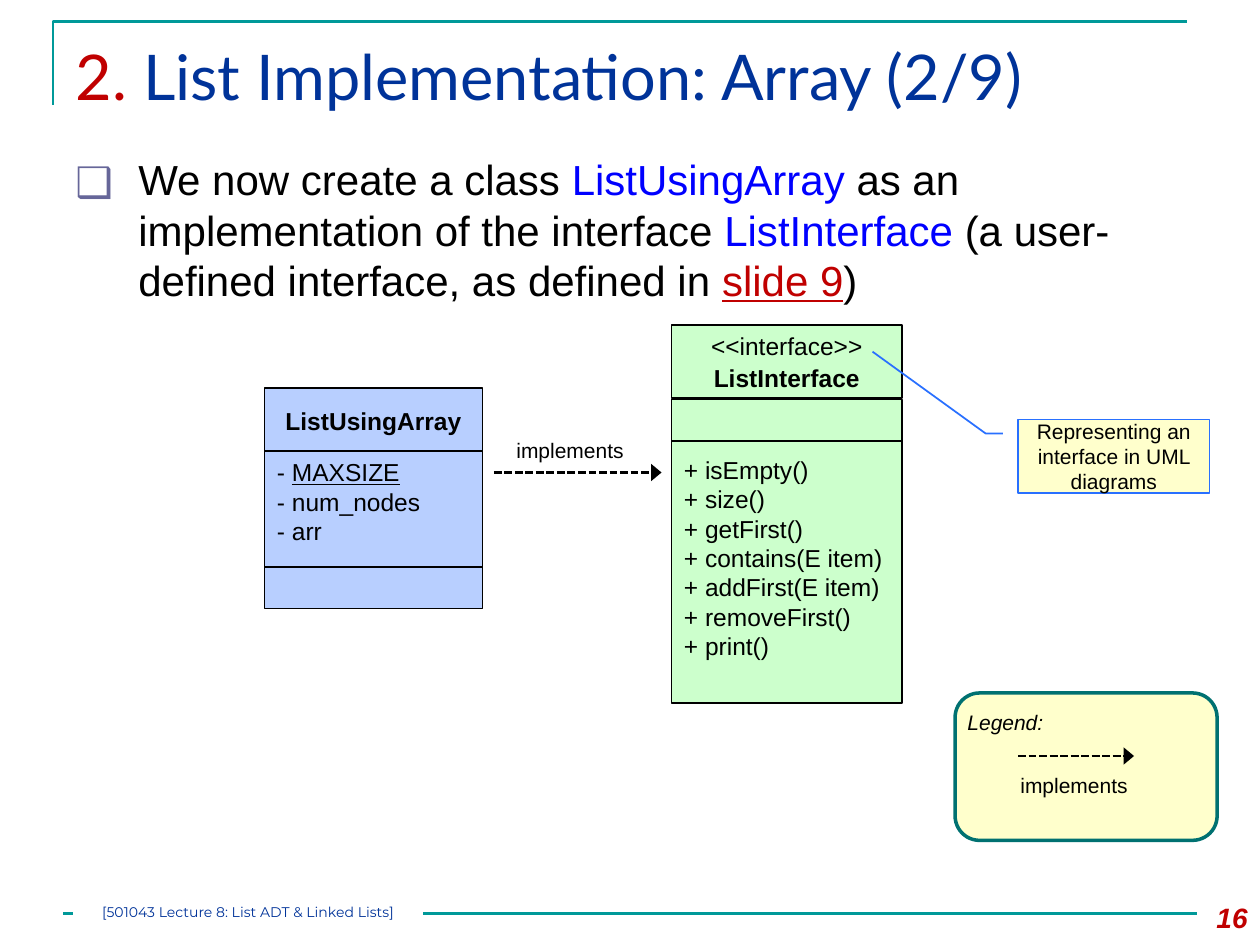
from lxml import etree
from pptx import Presentation
from pptx.dml.color import RGBColor
from pptx.enum.dml import MSO_LINE
from pptx.enum.shapes import MSO_CONNECTOR, MSO_SHAPE
from pptx.enum.text import MSO_ANCHOR, MSO_AUTO_SIZE, PP_ALIGN
from pptx.oxml.ns import qn
from pptx.util import Inches, Pt

LEFT, CENTER, RIGHT = PP_ALIGN.LEFT, PP_ALIGN.CENTER, PP_ALIGN.RIGHT
TOP, MIDDLE = MSO_ANCHOR.TOP, MSO_ANCHOR.MIDDLE
RECT, ROUND_RECT = MSO_SHAPE.RECTANGLE, MSO_SHAPE.ROUNDED_RECTANGLE
CALLOUT = MSO_SHAPE.LINE_CALLOUT_2
STRAIGHT, DASH = MSO_CONNECTOR.STRAIGHT, MSO_LINE.SQUARE_DOT

BLACK = RGBColor(0x00, 0x00, 0x00)
TEAL = RGBColor(0x00, 0x99, 0x99)
DARK_TEAL = RGBColor(0x00, 0x71, 0x71)
RED = RGBColor(0xC0, 0x00, 0x00)
NAVY = RGBColor(0x00, 0x33, 0x99)
BLUE = RGBColor(0x00, 0x00, 0xFF)
CALLOUT_BLUE = RGBColor(0x29, 0x70, 0xFF)
CLASS_BLUE = RGBColor(0xB8, 0xCF, 0xFF)
GREEN = RGBColor(0xCC, 0xFF, 0xCC)
YELLOW = RGBColor(0xFF, 0xFF, 0xCC)
BULLET = RGBColor(0x66, 0x66, 0x99)


def write_text(sp, paragraphs, size, font="Arial", color=BLACK, bold=False,
               italic=False, align=LEFT, anchor=TOP):
    """Fill sp; each paragraph is a string or a list of (text, color, underline)."""
    tf = sp.text_frame
    tf.word_wrap = True
    tf.auto_size = MSO_AUTO_SIZE.NONE
    tf.vertical_anchor = anchor
    for i, runs in enumerate(paragraphs):
        p = tf.add_paragraph() if i else tf.paragraphs[0]
        p.alignment = align
        if isinstance(runs, str):
            runs = [(runs, color, False)]
        for text, run_color, underline in runs:
            r = p.add_run()
            r.text = text
            r.font.name, r.font.size = font, Pt(size)
            r.font.bold, r.font.italic = bold, italic
            r.font.underline = underline
            r.font.color.rgb = run_color
    return tf


def add_line(x1, x2, y, color, arrow=False):
    """Add a horizontal line, dashed and with a head at x2 if it is an arrow."""
    line = s.shapes.add_connector(STRAIGHT, Inches(x1), Inches(y), Inches(x2), Inches(y))
    line.line.color.rgb = color
    line.line.width = Pt(1.5)
    if arrow:
        line.line.dash_style = DASH
        etree.SubElement(line.line._get_or_add_ln(), qn("a:tailEnd"),
                         type="triangle", w="lg", len="med")
    etree.SubElement(line._element.spPr, qn("a:effectLst"))


prs = Presentation()
prs.slide_width, prs.slide_height = Inches(10), Inches(7.5)
s = prs.slides.add_slide(prs.slide_layouts[5])

# Frame and footer rule, open around the footer text
builder = s.shapes.build_freeform(Inches(0.42), Inches(0.83))
builder.add_line_segments([(Inches(0.42), Inches(0.17)), (Inches(9.42), Inches(0.17))],
                          close=False)
frame = builder.convert_to_shape()
frame.fill.background()
frame.line.color.rgb = TEAL
frame.line.width = Pt(1.5)
frame.shadow.inherit = False
add_line(0.5, 0.58, 7.25, TEAL)
add_line(3.36, 9.5, 7.25, TEAL)

# Title and body
title = s.shapes.title
title.left, title.top = Inches(0.5), Inches(0.25)
title.width, title.height = Inches(9), Inches(0.86)
write_text(title, [[("2. ", RED, False),
                    ("List Implementation: Array (2/9)", NAVY, False)]], 36, font="Lato")

body = s.shapes.add_textbox(Inches(0.5), Inches(1.17), Inches(9), Inches(1.58))
tf = write_text(body, [[
    ("We now create a class ", BLACK, False),
    ("ListUsingArray ", BLUE, False),
    ("as an implementation of the interface ", BLACK, False),
    ("ListInterface ", BLUE, False),
    ("(a user-defined interface, as defined in ", BLACK, False),
    ("slide 9", RED, True),
    (")", BLACK, False),
]], 24)
p = tf.paragraphs[0]
p.space_before = Pt(6)
pPr = p._p.get_or_add_pPr()
pPr.set("marL", str(Inches(0.5)))
pPr.set("indent", str(-Inches(0.5)))
bullet_color = etree.SubElement(pPr, qn("a:buClr"))
etree.SubElement(bullet_color, qn("a:srgbClr"), val=str(BULLET))
etree.SubElement(pPr, qn("a:buFont"), typeface="Noto Sans Symbols")
etree.SubElement(pPr, qn("a:buChar"), char="❑")

# UML compartments, legend and callout
for kind, x, y, w, h, fill, line, width in [
    (RECT, 5.33, 2.58, 1.83, 0.58, GREEN, BLACK, 1),
    (RECT, 5.33, 3.17, 1.83, 0.36, GREEN, BLACK, 1),
    (RECT, 5.33, 3.5, 1.83, 2.08, GREEN, BLACK, 1),
    (RECT, 2.1, 3.58, 1.73, 0.92, CLASS_BLUE, BLACK, 1),
    (RECT, 2.1, 3.08, 1.73, 0.5, CLASS_BLUE, BLACK, 1),
    (RECT, 2.1, 4.5, 1.73, 0.33, CLASS_BLUE, BLACK, 1),
    (ROUND_RECT, 7.58, 5.5, 2.08, 1.17, YELLOW, DARK_TEAL, 2),
    (CALLOUT, 8.08, 3.33, 1.52, 0.58, YELLOW, CALLOUT_BLUE, 1),
]:
    sp = s.shapes.add_shape(kind, Inches(x), Inches(y), Inches(w), Inches(h))
    sp.shadow.inherit = False
    sp.fill.solid()
    sp.fill.fore_color.rgb = fill
    sp.line.color.rgb = line
    sp.line.width = Pt(width)
    if kind == CALLOUT:
        for i, value in enumerate([0.19, -0.08, 0.19, -0.17, -0.93, -0.76]):
            sp.adjustments[i] = value
        write_text(sp, ["Representing an interface in UML diagrams"], 12,
                   align=CENTER, anchor=MIDDLE)

# Arrows
add_line(3.92, 5.25, 3.75, BLACK, arrow=True)
add_line(8.08, 9, 6, BLACK, arrow=True)

# Labels
methods = ["isEmpty()", "size()", "getFirst()", "contains(E item)",
           "addFirst(E item)", "removeFirst()", "print()"]
fields = [[("- ", BLACK, False), ("MAXSIZE", BLACK, True)], "- num_nodes", "- arr"]
for x, y, w, h, paragraphs, size, style in [
    (5.33, 2.58, 1.83, 0.34, ["<<interface>>"], 14, {"align": CENTER}),
    (5.33, 2.83, 1.83, 0.34, ["ListInterface"], 14, {"align": CENTER, "bold": True}),
    (5.33, 3.56, 1.83, 1.75, [f"+ {m}" for m in methods], 14, {}),
    (2.1, 3.17, 1.73, 0.34, ["ListUsingArray"], 14, {"align": CENTER, "bold": True}),
    (2.1, 3.58, 1.73, 0.81, fields, 14, {}),
    (4, 3.42, 1.08, 0.3, ["implements"], 12, {}),
    (7.58, 5.58, 1.08, 0.3, ["Legend:"], 12, {"italic": True}),
    (8, 6.08, 1.08, 0.3, ["implements"], 12, {}),
    (9.33, 7.1, 0.67, 0.4, ["16"], 16,
     {"align": RIGHT, "bold": True, "italic": True, "color": RED}),
]:
    label = s.shapes.add_textbox(Inches(x), Inches(y), Inches(w), Inches(h))
    write_text(label, paragraphs, size, **style)

footer = s.shapes.add_textbox(Inches(0.58), Inches(7.17), Inches(2.78), Inches(0.2))
tf = write_text(footer, ["[501043 Lecture 8: List ADT & Linked Lists]"], 8,
                font="Montserrat", color=NAVY, align=CENTER)
tf.margin_left = tf.margin_right = tf.margin_top = tf.margin_bottom = 0

prs.save("out.pptx")
